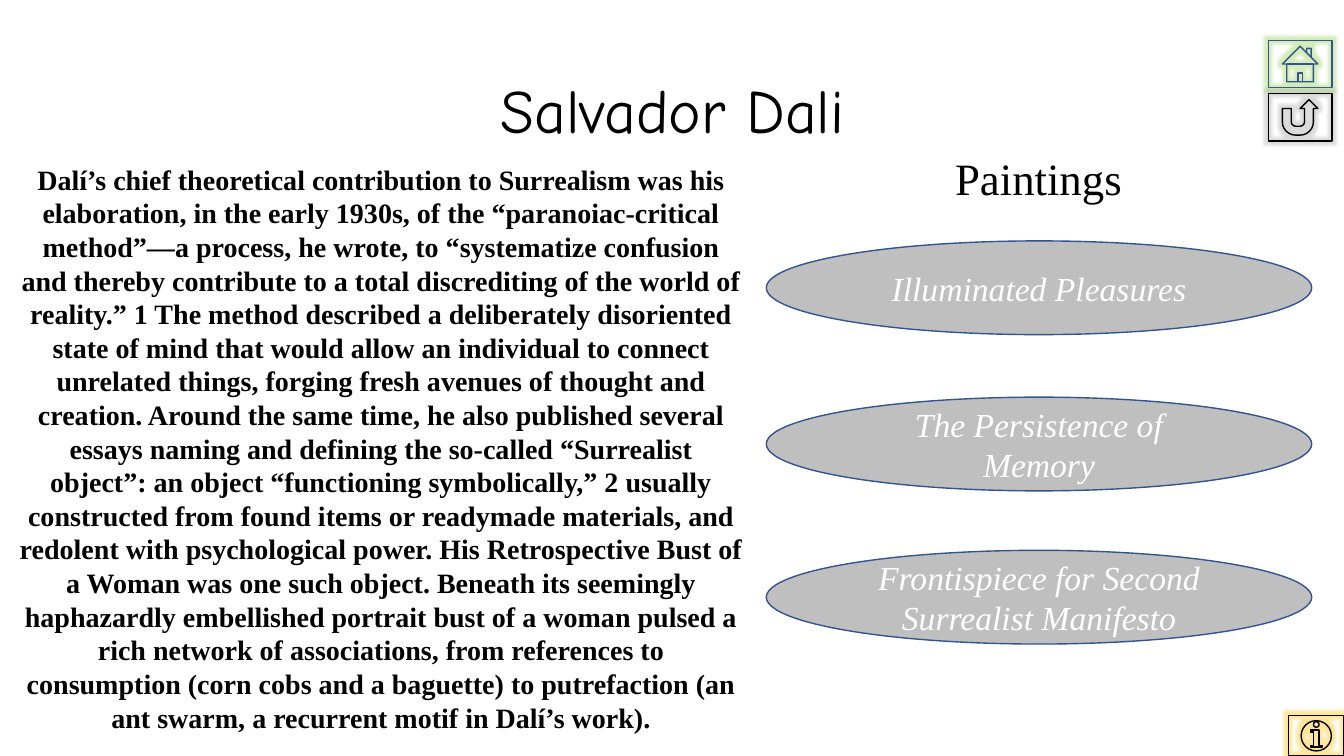
from pptx import Presentation
from pptx.util import Inches, Pt
from pptx.dml.color import RGBColor
from pptx.enum.shapes import MSO_SHAPE
from pptx.enum.text import PP_ALIGN, MSO_ANCHOR
from lxml.etree import SubElement
from pptx.oxml.ns import qn

TITLE = "Salvador Dali"
BODY = [
    "Dalí’s chief theoretical contribution to Surrealism was his elaboration, "
    "in the early 1930s, of the “paranoiac-critical method”—a process, he wrote, "
    "to “systematize confusion and thereby contribute to a total discrediting of "
    "the world of reality.” 1",
    "The method described a deliberately disoriented state of mind that would "
    "allow an individual to connect unrelated things, forging fresh avenues of "
    "thought and creation.",
    "Around the same time, he also published several essays naming and defining "
    "the so-called “Surrealist object”: an object “functioning symbolically,” 2 "
    "usually constructed from found items or readymade materials, and redolent "
    "with psychological power.",
    "His Retrospective Bust of a Woman was one such object.",
    "Beneath its seemingly haphazardly embellished portrait bust of a woman "
    "pulsed a rich network of associations, from references to consumption (corn "
    "cobs and a baguette) to putrefaction (an ant swarm, a recurrent motif in "
    "Dalí’s work).",
]
HEAD = "Paintings"
WORKS = [
    ("Illuminated Pleasures", 2.39),
    ("The Persistence of Memory", 3.94),
    ("Frontispiece for Second Surrealist Manifesto", 5.46),
]
BUTTONS = [
    (MSO_SHAPE.ACTION_BUTTON_HOME, (12.58, 0.4, 0.63, 0.47), "325491", "92D050"),
    (MSO_SHAPE.ACTION_BUTTON_RETURN, (12.58, 0.93, 0.63, 0.47), "000000", "A5A5A5"),
    (MSO_SHAPE.ACTION_BUTTON_INFORMATION, (12.78, 7.1, 0.55, 0.4), "000000", "FFC000"),
]


def color(code):
    return RGBColor.from_string(code)


def inch(box):
    return [Inches(v) for v in box]


def write(shape, text, size, font="Times New Roman", ink="000000",
          bold=False, italic=False, anchor=MSO_ANCHOR.TOP, space=1.0):
    frame = shape.text_frame
    frame.word_wrap = True
    frame.vertical_anchor = anchor
    para = frame.paragraphs[0]
    para.alignment = PP_ALIGN.CENTER
    para.line_spacing = space
    run = para.add_run()
    run.text = text
    run.font.size = Pt(size)
    run.font.name = font
    run.font.bold = bold
    run.font.italic = italic
    run.font.color.rgb = color(ink)


def draw(slide, kind, box, line):
    shape = slide.shapes.add_shape(kind, *inch(box))
    shape.shadow.inherit = False
    shape.line.color.rgb = color(line)
    shape.line.width = Pt(1)
    return shape


def fade(shape, code, alpha):
    shape.fill.solid()
    shape.fill.fore_color.rgb = color(code)
    tint = shape._element.spPr.find(qn("a:solidFill")).find(qn("a:srgbClr"))
    SubElement(tint, qn("a:alpha"), val=str(alpha * 1000))


def glow(shape, code):
    effect = shape._element.spPr.find(qn("a:effectLst"))
    halo = SubElement(effect, qn("a:glow"), rad=str(Pt(5)))
    tint = SubElement(halo, qn("a:srgbClr"), val=code)
    SubElement(tint, qn("a:alpha"), val="40000")


def main():
    deck = Presentation()
    deck.slide_width, deck.slide_height = Inches(13.33), Inches(7.5)
    slide = deck.slides.add_slide(deck.slide_layouts[5])

    for kind, box, line, halo in BUTTONS:
        button = draw(slide, kind, box, line)
        button.fill.background()
        glow(button, halo)

    title = slide.shapes.title
    title.left, title.top, title.width, title.height = inch((0.92, 0.4, 11.5, 1.45))
    write(title, TITLE, 44, font="Comic Neue", anchor=MSO_ANCHOR.MIDDLE, space=0.9)

    body = slide.shapes.add_textbox(*inch((0.09, 1.56, 7.38, 5.49)))
    write(body, " ".join(BODY), 20, bold=True)
    head = slide.shapes.add_textbox(*inch((9.04, 1.45, 2.52, 0.64)))
    write(head, HEAD, 32)

    for name, top in WORKS:
        oval = draw(slide, MSO_SHAPE.OVAL, (7.6, top, 5.41, 0.93), "325491")
        fade(oval, "000000", 25)
        write(oval, name, 24, ink="FFFFFF", italic=True, anchor=MSO_ANCHOR.MIDDLE)

    deck.save("out.pptx")


if __name__ == "__main__":
    main()
